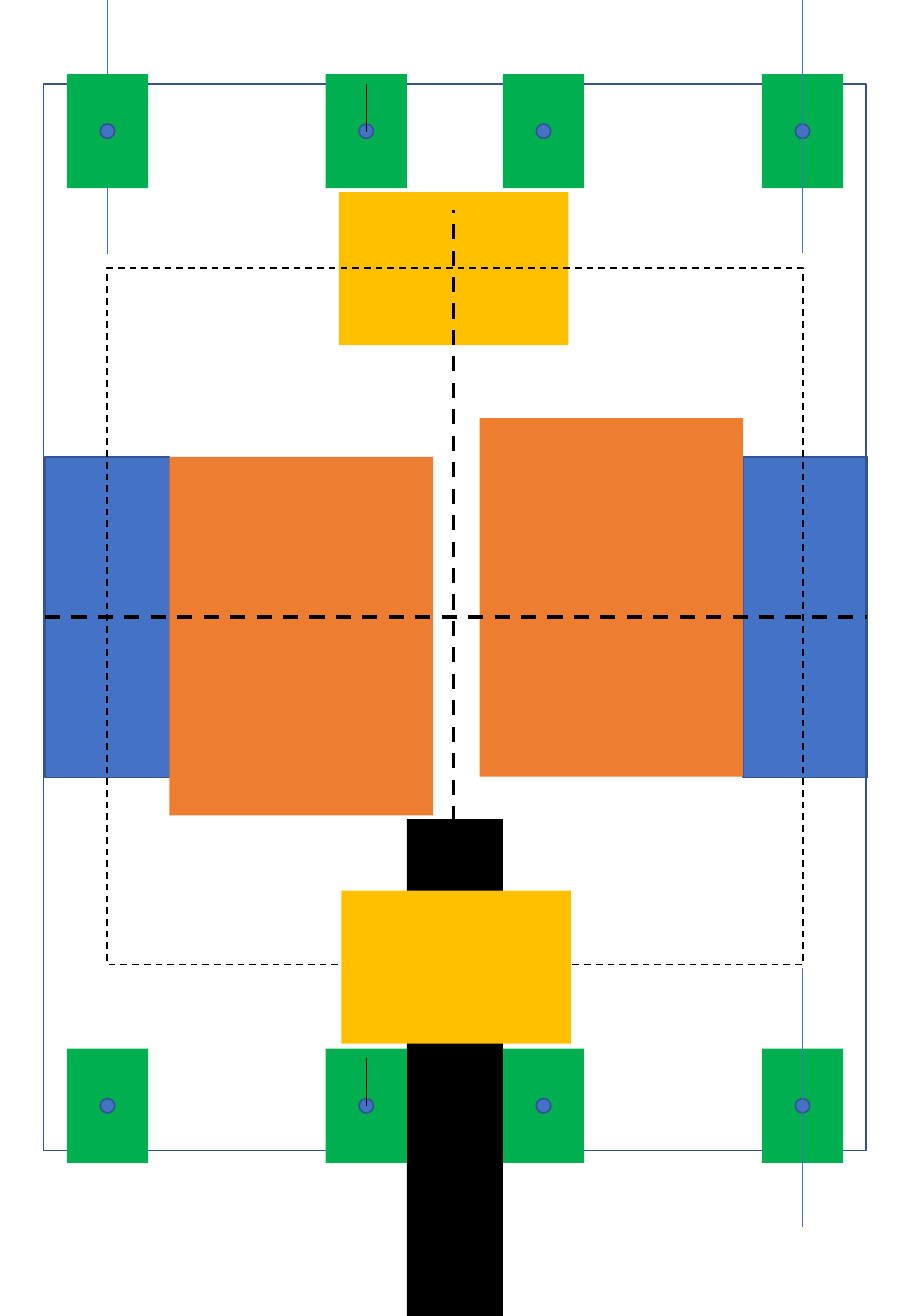
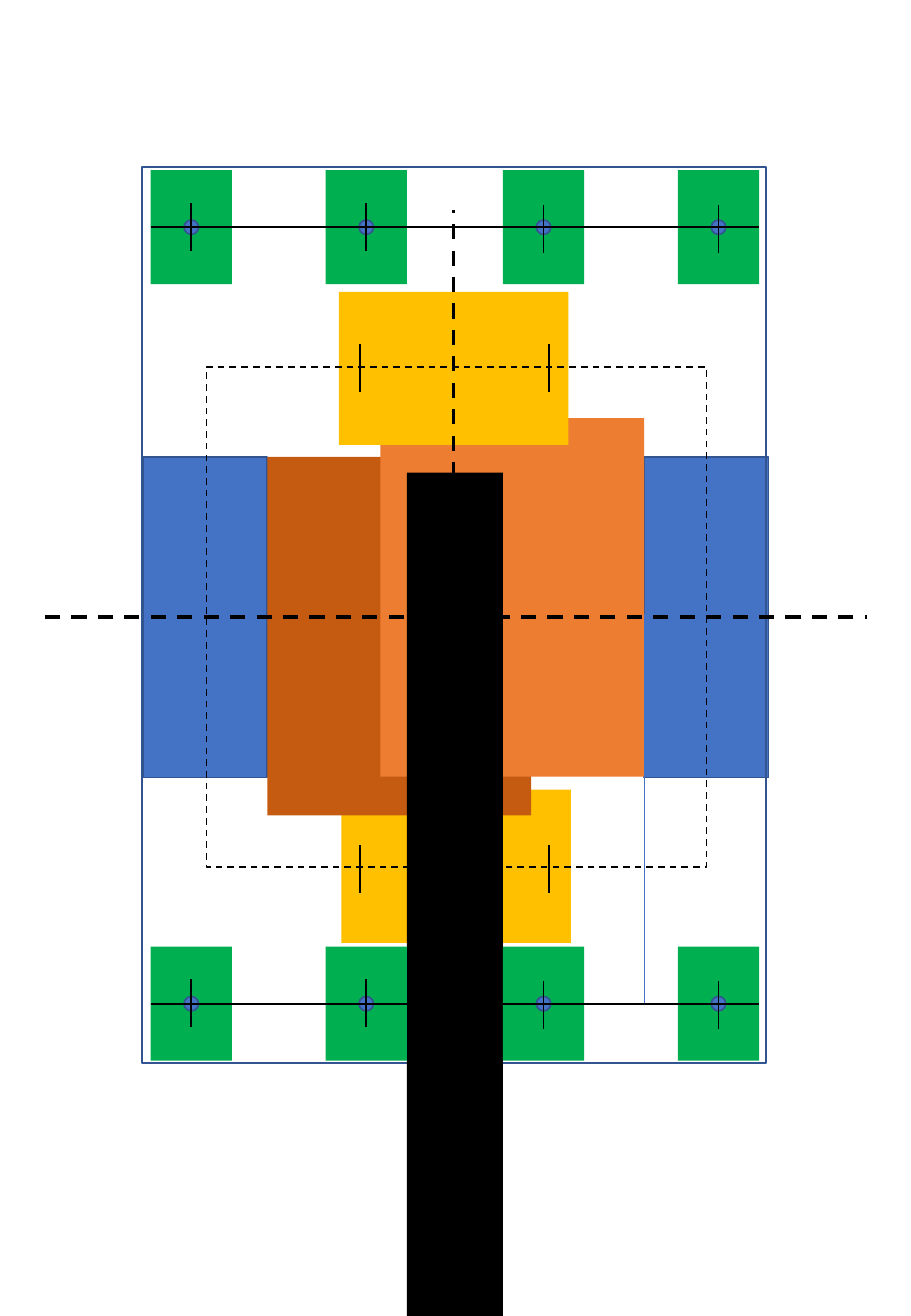
from dataclasses import dataclass
from typing import NamedTuple, Optional

from lxml import etree
from pptx import Presentation
from pptx.dml.color import RGBColor
from pptx.enum.dml import MSO_LINE
from pptx.enum.shapes import MSO_CONNECTOR, MSO_SHAPE
from pptx.oxml.ns import qn
from pptx.util import Pt

RECT = MSO_SHAPE.RECTANGLE
OVAL = MSO_SHAPE.OVAL
STRAIGHT = MSO_CONNECTOR.STRAIGHT
DASH = MSO_LINE.DASH

BLUE = RGBColor(0x44, 0x72, 0xC4)
NAVY = RGBColor(0x32, 0x54, 0x91)
ORANGE = RGBColor(0xED, 0x7D, 0x31)
RUST = RGBColor(0xC5, 0x5A, 0x11)
YELLOW = RGBColor(0xFF, 0xC0, 0x00)
GREEN = RGBColor(0x00, 0xB0, 0x50)
BLACK = RGBColor(0x00, 0x00, 0x00)

SLIDE_W, SLIDE_H = 540, 779.8
SIDE_W, SIDE_H, SIDE_Y = 73.7, 190, 270.7
MOTOR_W, MOTOR_H, RIGHT_MOTOR_Y = 156.3, 212.5, 247.7
PAD_W, PAD_H, TOP_PAD_X, LOW_PAD_X = 136.1, 90.7, 200.9, 202.3
WHEEL_W, WHEEL_H, DOT = 48.2, 67.7, 8.6
COLUMN_X, COLUMN_W, COLUMN_BOTTOM = 241.2, 56.9, 1171
INNER_WHEELS = (193, 298.1)
TICK = 28.4


class Box(NamedTuple):
    x: float
    y: float
    w: float
    h: float
    fill: Optional[RGBColor] = None
    line: Optional[RGBColor] = None
    dash: bool = False


class Stroke(NamedTuple):
    x1: float
    y1: float
    x2: float
    y2: float
    width: float = 1
    color: RGBColor = BLACK
    dash: bool = False


@dataclass
class Plan:
    outline: Box
    sides: tuple[float, float]
    left_motor: RGBColor
    pads: tuple[float, float]
    low_pad_behind: bool
    column_y: float
    track: Box
    outer_wheels: tuple[float, float]
    wheel_rows: tuple[float, float]
    under_wheels: list[Stroke]
    over_wheels: list[Stroke]


def draw_box(shapes, box: Box, kind=RECT) -> None:
    sp = shapes.add_shape(kind, Pt(box.x), Pt(box.y), Pt(box.w), Pt(box.h))
    sp.shadow.inherit = False
    if box.fill is None:
        sp.fill.background()
    else:
        sp.fill.solid()
        sp.fill.fore_color.rgb = box.fill
    if box.line is None:
        sp.line.fill.background()
    else:
        sp.line.color.rgb = box.line
        sp.line.width = Pt(1)
        if box.dash:
            sp.line.dash_style = DASH


def draw_stroke(shapes, stroke: Stroke) -> None:
    cxn = shapes.add_connector(STRAIGHT, Pt(stroke.x1), Pt(stroke.y1),
                               Pt(stroke.x2), Pt(stroke.y2))
    cxn.line.color.rgb = stroke.color
    cxn.line.width = Pt(stroke.width)
    if stroke.dash:
        cxn.line.dash_style = DASH
    etree.SubElement(cxn._element.spPr, qn("a:effectLst"))


def draw_wheel(shapes, x: float, y: float) -> None:
    group = shapes.add_group_shape()
    draw_box(group.shapes, Box(x, y, WHEEL_W, WHEEL_H, GREEN))
    dot = Box(x + (WHEEL_W - DOT) / 2, y + (WHEEL_H - DOT) / 2, DOT, DOT, BLUE, NAVY)
    draw_box(group.shapes, dot, OVAL)


def vertical(x: float, y: float, length: float, width: float = 1,
             color: RGBColor = BLACK) -> Stroke:
    return Stroke(x, y, x, y + length, width, color)


def axle_strokes(outer: tuple[float, float], y: float) -> list[Stroke]:
    left, right = outer
    axle_y = y + WHEEL_H / 2
    starts = ((left, 19.4), (INNER_WHEELS[0], 19.4),
              (INNER_WHEELS[1], 20.6), (right, 20.6))
    return [Stroke(left, axle_y, right + WHEEL_W, axle_y)] + [
        vertical(x + WHEEL_W / 2, y + offset, TICK) for x, offset in starts]


def draw_plan(prs, plan: Plan) -> None:
    s = prs.slides.add_slide(prs.slide_layouts[6])
    shapes = s.shapes
    left, right = plan.sides
    top_pad_y, low_pad_y = plan.pads
    low_pad = Box(LOW_PAD_X, low_pad_y, PAD_W, PAD_H, YELLOW)

    if plan.low_pad_behind:
        draw_box(shapes, low_pad)
    for box in (
        Box(left, SIDE_Y, SIDE_W, SIDE_H, BLUE, NAVY),
        Box(left + SIDE_W, SIDE_Y, MOTOR_W, MOTOR_H, plan.left_motor),
        Box(right, SIDE_Y, SIDE_W, SIDE_H, BLUE, NAVY),
        Box(right - MOTOR_W, RIGHT_MOTOR_Y, MOTOR_W, MOTOR_H, ORANGE),
        Box(TOP_PAD_X, top_pad_y, PAD_W, PAD_H, YELLOW),
        plan.outline,
    ):
        draw_box(shapes, box)
    for axis in (Stroke(26.7, 365.8, 514.1, 365.8, 2.25, BLACK, True),
                 Stroke(268.8, 612, 268.8, 124.6, 2.25, BLACK, True)):
        draw_stroke(shapes, axis)
    draw_box(shapes, Box(COLUMN_X, plan.column_y, COLUMN_W,
                         COLUMN_BOTTOM - plan.column_y, BLACK))
    draw_box(shapes, plan.track)
    if not plan.low_pad_behind:
        draw_box(shapes, low_pad)

    for stroke in plan.under_wheels:
        draw_stroke(shapes, stroke)
    for y in plan.wheel_rows:
        for x in INNER_WHEELS + plan.outer_wheels:
            draw_wheel(shapes, x, y)
    for stroke in plan.over_wheels:
        draw_stroke(shapes, stroke)


WIDE_ROWS = (43.9, 621.4)
NARROW_ROWS = (100.8, 560.9)
NARROW_OUTER = (89.3, 401.8)

WIDE = Plan(
    outline=Box(25.8, 49.6, 487.5, 632.2, line=NAVY),
    sides=(26.8, 440.6),
    left_motor=ORANGE,
    pads=(113.8, 527.8),
    low_pad_behind=False,
    column_y=485.4,
    track=Box(63.6, 159, 412.5, 412.5, line=BLACK, dash=True),
    outer_wheels=(39.6, 451.6),
    wheel_rows=WIDE_ROWS,
    under_wheels=[vertical(63.6, -3, 153.4, 0.5, BLUE)],
    over_wheels=[vertical(INNER_WHEELS[0] + WHEEL_W / 2, y + 5.7, TICK, 0.5)
                 for y in WIDE_ROWS]
    + [vertical(475.7, y, 153.4, 0.5, BLUE) for y in (-3.6, 573.8)],
)

NARROW = Plan(
    outline=Box(84.2, 98.8, 370, 531.3, line=NAVY),
    sides=(84.8, 381.8),
    left_motor=RUST,
    pads=(173, 468),
    low_pad_behind=True,
    column_y=280,
    track=Box(122.4, 217.5, 296.5, 296.5, line=BLACK, dash=True),
    outer_wheels=NARROW_OUTER,
    wheel_rows=NARROW_ROWS,
    under_wheels=[vertical(381.8, 363.6, 231, 0.5, BLUE)]
    + [vertical(x, y, TICK) for y in (204, 501) for x in (213.3, 325.4)],
    over_wheels=[stroke for y in NARROW_ROWS
                 for stroke in axle_strokes(NARROW_OUTER, y)],
)

prs = Presentation()
prs.slide_width, prs.slide_height = Pt(SLIDE_W), Pt(SLIDE_H)
for plan in (WIDE, NARROW):
    draw_plan(prs, plan)
prs.save("out.pptx")
